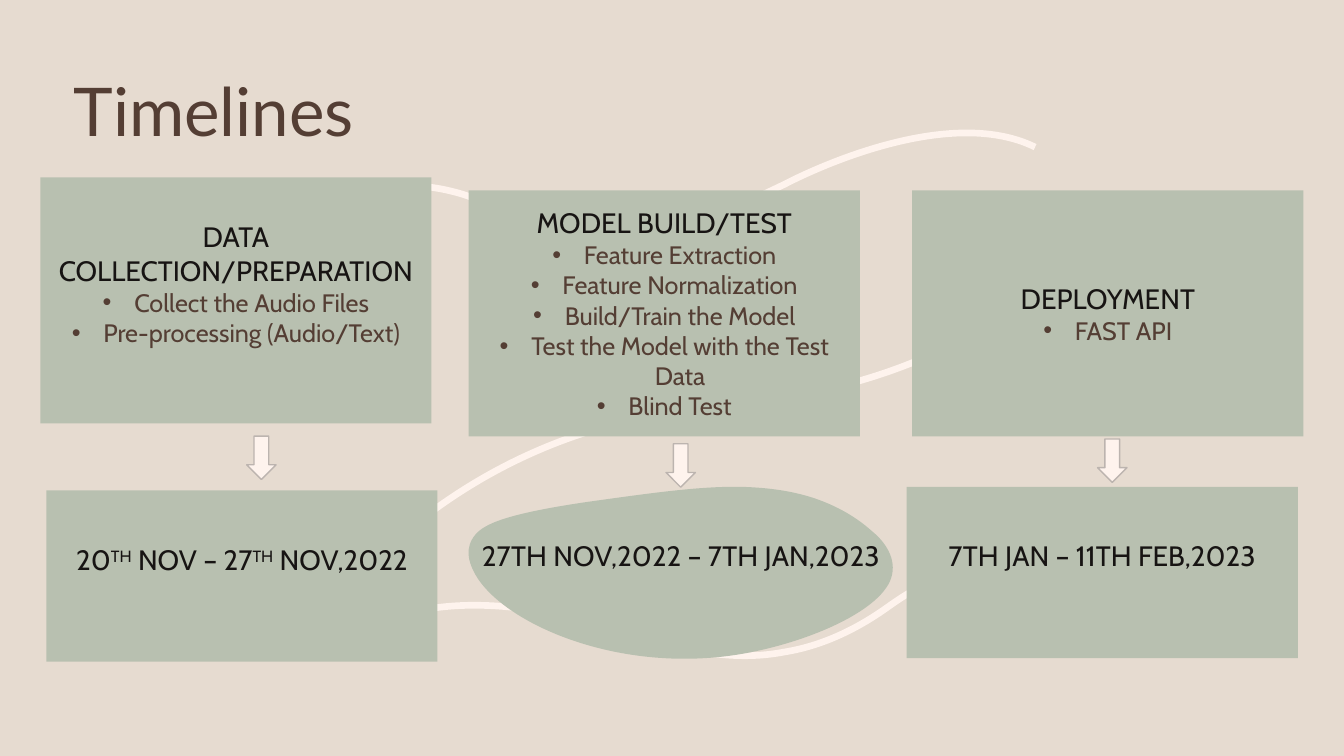
from lxml.etree import SubElement
from pptx import Presentation
from pptx.dml.color import RGBColor
from pptx.enum.shapes import MSO_SHAPE as Shape
from pptx.enum.text import MSO_ANCHOR as Anchor, MSO_AUTO_SIZE as AutoSize, PP_ALIGN as Align
from pptx.oxml.ns import qn
from pptx.util import Pt

hex_color = RGBColor.from_string
SAND, SAGE, CREAM, TAUPE = "E6DBD0", "B8C0B0", "FEF3ED", "BCB4AF"
BROWN, INK = "543E34", "171413"
BOTTOM_INSET = 3.6
RAISED_INSET = BOTTOM_INSET + 24  # lifts the text by half a line


def write(frame, text, size=20, color=INK, font="Cabin", align=Align.CENTER,
          bullet=False, spacing=1.0):
    """Add a paragraph; pieces between ^ marks are superscript."""
    paragraph = frame.paragraphs[0]
    if paragraph.runs:
        paragraph = frame.add_paragraph()
    paragraph.alignment = align
    paragraph.line_spacing = spacing
    paragraph.space_before = paragraph.space_after = Pt(0)
    paragraph.level = 1 if bullet else 0
    properties = paragraph._p.get_or_add_pPr()
    hanging = Pt(22.5) if bullet else 0
    properties.set("marL", str(hanging))
    properties.set("indent", str(-hanging))
    if bullet:
        SubElement(properties, qn("a:buChar"), char="•")
    else:
        SubElement(properties, qn("a:buNone"))
    for position, piece in enumerate(text.split("^")):
        run = paragraph.add_run()
        run.text = piece
        run.font.size, run.font.name, run.font.bold = Pt(size), font, False
        run.font.color.rgb = hex_color(color)
        if position % 2:
            run.font._element.set("baseline", "30000")


def draw_curve(shapes, box, start, bends, close=False):
    """Draw a chain of cubic Bézier bends, each (control, control, end), in a box."""
    left, top, width, height = box
    builder = shapes.build_freeform(Pt(start[0]), Pt(start[1]), scale=1.0)
    builder.add_line_segments([(Pt(bend[4]), Pt(bend[5])) for bend in bends], close=close)
    curve = builder.convert_to_shape()
    curve.left, curve.top, curve.width, curve.height = Pt(left), Pt(top), Pt(width), Pt(height)
    curve.shadow.inherit = False
    outline = curve._element.find(".//" + qn("a:path"))
    outline.set("w", str(Pt(width)))
    outline.set("h", str(Pt(height)))
    for segment in list(outline):
        outline.remove(segment)
    for tag, numbers in [("a:moveTo", start)] + [("a:cubicBezTo", bend) for bend in bends]:
        segment = SubElement(outline, qn(tag))
        for x, y in zip(numbers[::2], numbers[1::2]):
            SubElement(segment, qn("a:pt"), x=str(Pt(x - left)), y=str(Pt(y - top)))
    if close:
        SubElement(outline, qn("a:close"))
    return curve


deck = Presentation()
deck.slide_width, deck.slide_height = Pt(960), Pt(540)
slide = deck.slides.add_slide(deck.slide_layouts.get_by_name("Comparison"))
shapes = slide.shapes
slide.background.fill.solid()
slide.background.fill.fore_color.rgb = hex_color(SAND)

# Background swirls, kept behind the placeholders
swirls = [
    ((599.8, 198, 154, 77.8), (599.8, 275.8), [(657.4, 261.4, 709.2, 235.4, 753.8, 198)]),
    ((280.1, 308.2, 140.4, 79.9), (420.5, 308.2), [(366.5, 325.4, 320.4, 352.8, 280.1, 388.1)]),
    ((221, 94.5, 518.4, 75.4), (221, 160.6),
     [(252, 134.6, 286.6, 127.4, 323.3, 136.8),
      (335.5, 139.7, 346.3, 144.7, 357.8, 150.5),
      (381.6, 161.3, 406.8, 169.2, 434.9, 169.9),
      (458.6, 169.9, 482.4, 164.9, 504.7, 156.2),
      (530.6, 146.2, 545, 139, 560.2, 131.8),
      (576.7, 123.1, 676.8, 74.2, 739.4, 105.1)]),
    ((249.8, 416.9, 412.6, 51.2), (662.4, 416.9),
     [(650.9, 421.9, 641.5, 428.4, 631.4, 435.6),
      (610.6, 450, 586.8, 461.5, 560.2, 465.8),
      (537.1, 470.2, 514.1, 468.7, 490.3, 463.7),
      (464.4, 457.9, 449.3, 452.9, 433.4, 447.8),
      (416.2, 442.8, 312.5, 410.4, 249.8, 457.9)]),
]
for box, start, bends in swirls:
    swirl = draw_curve(shapes, box, start, bends)
    swirl.fill.background()
    swirl.line.color.rgb = hex_color(CREAM)
    swirl.line.width = Pt(4.75)
    shapes._spTree.insert(2, swirl._element)

title = shapes.title
title.left, title.top, title.width, title.height = Pt(45.4), Pt(55.4), Pt(720), Pt(53.3)
title.text_frame.vertical_anchor = Anchor.MIDDLE
title.text_frame.auto_size = AutoSize.NONE
write(title.text_frame, "Timelines", size=48, color=BROWN, font="Lato",
      align=Align.LEFT, spacing=0.9)

# Phases: placeholder index, left, top, bottom inset, heading, tasks
phases = [
    (1, 28.8, 126.7, RAISED_INSET, "DATA COLLECTION/PREPARATION",
     ["Collect the Audio Files", "Pre-processing (Audio/Text)"]),
    (2, 334.8, 136, BOTTOM_INSET, "MODEL BUILD/TEST",
     ["Feature Extraction", "Feature Normalization", "Build/Train the Model",
      "Test the Model with the Test Data", "Blind Test"]),
    (4, 651.6, 136, BOTTOM_INSET, "DEPLOYMENT", ["FAST API"]),
]
placeholders = {holder.placeholder_format.idx: holder for holder in slide.placeholders}
for index, left, top, inset, heading, tasks in phases:
    phase = placeholders[index]
    phase.left, phase.top, phase.width, phase.height = Pt(left), Pt(top), Pt(279.4), Pt(175.7)
    phase.fill.solid()
    phase.fill.fore_color.rgb = hex_color(SAGE)
    frame = phase.text_frame
    frame.auto_size = AutoSize.NONE
    frame.vertical_anchor = Anchor.MIDDLE
    frame.margin_bottom = Pt(inset)
    write(frame, heading)
    for task in tasks:
        write(frame, task, size=18, color=BROWN, bullet=True)
unused = placeholders[3]._element
unused.getparent().remove(unused)

# Dates under each phase; the middle one is a rounded blob
blob = draw_curve(shapes, (334.8, 347.8, 303.1, 122.4), (531.4, 347.8), [
    (549.4, 348.5, 565.2, 350.6, 581, 355.7),
    (602.6, 362.9, 615.6, 373, 622.8, 379.4),
    (630, 385.2, 640.1, 396.7, 637.2, 410.4),
    (632.2, 436.3, 573.1, 460.8, 524.2, 468),
    (435.6, 481, 353.5, 442.1, 337.7, 406.8),
    (335.5, 401.8, 331.2, 391.7, 339.8, 381.6),
    (346.3, 374.4, 360.7, 367.2, 419, 358.6),
    (465.8, 352.1, 501.1, 347, 531.4, 347.8),
], close=True)
first_dates, last_dates = (
    shapes.add_shape(Shape.RECTANGLE, Pt(left), Pt(top), Pt(279.4), Pt(122.4))
    for left, top in [(33.1, 350.3), (647.6, 347.8)])
for dates, period in [(first_dates, "20^TH^ NOV – 27^TH^ NOV,2022"),
                      (blob, "27TH NOV,2022 – 7TH JAN,2023"),
                      (last_dates, "7TH JAN – 11TH FEB,2023")]:
    dates.shadow.inherit = False
    dates.fill.solid()
    dates.fill.fore_color.rgb = hex_color(SAGE)
    dates.line.fill.background()
    frame = dates.text_frame
    frame.word_wrap = True
    frame.vertical_anchor = Anchor.MIDDLE
    frame.margin_bottom = Pt(RAISED_INSET)
    write(frame, period)

for left, top in [(176.2, 311.5), (475.7, 317), (784, 313.6)]:
    arrow = shapes.add_shape(Shape.DOWN_ARROW, Pt(left), Pt(top), Pt(21), Pt(31))
    arrow.shadow.inherit = False
    arrow.fill.solid()
    arrow.fill.fore_color.rgb = hex_color(CREAM)
    arrow.line.color.rgb = hex_color(TAUPE)
    arrow.line.width = Pt(1)

deck.save("out.pptx")
